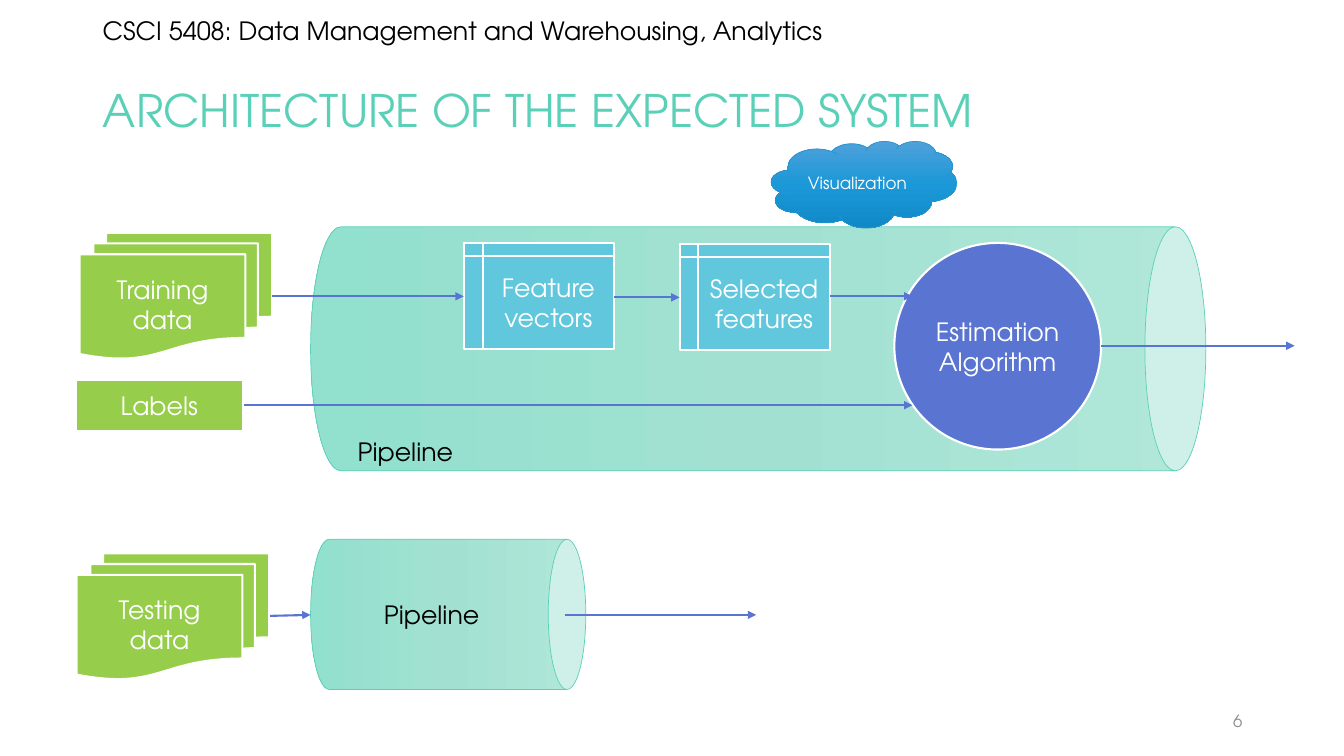
"""Builds the slide on the architecture of the expected system."""
from copy import deepcopy
from dataclasses import dataclass

from lxml import etree
from pptx import Presentation
from pptx.dml.color import RGBColor
from pptx.enum.shapes import MSO_CONNECTOR, MSO_SHAPE
from pptx.enum.text import MSO_ANCHOR, PP_ALIGN
from pptx.oxml.ns import qn
from pptx.util import Inches, Pt

LEFT, CENTER, RIGHT = PP_ALIGN.LEFT, PP_ALIGN.CENTER, PP_ALIGN.RIGHT
MIDDLE, TOP = MSO_ANCHOR.MIDDLE, MSO_ANCHOR.TOP
CAN, CLOUD, CIRCLE, BOX = MSO_SHAPE.CAN, MSO_SHAPE.CLOUD, MSO_SHAPE.OVAL, MSO_SHAPE.RECTANGLE
STORAGE = MSO_SHAPE.FLOWCHART_INTERNAL_STORAGE
DOCUMENTS = MSO_SHAPE.FLOWCHART_MULTIDOCUMENT
STRAIGHT = MSO_CONNECTOR.STRAIGHT


@dataclass(frozen=True)
class Theme:
    font: str = "TeX Gyre Adventor"
    white: str = "FFFFFF"
    black: str = "000000"
    grey: str = "8C8C8C"
    teal: str = "5AD0B8"
    green: str = "96CD4B"
    cyan: str = "61C7DD"
    indigo: str = "5A74D1"
    sky: str = "2495CF"
    pipe_fill: tuple = ("B0E7D9", "A2E1D2", "92E0CE")
    cloud_fill: tuple = ("50A1D9", "1B98D8", "1189C7")
    title: int = 32
    body: int = 18
    small: int = 12
    thin: float = 0.5
    thick: float = 1.5


THEME = Theme()


def rgb(value):
    return RGBColor.from_string(value)


def write(tf, text, size=THEME.body, color=THEME.black, align=LEFT,
          anchor=TOP, wrap=True, spacing=None):
    tf.word_wrap = wrap
    tf.vertical_anchor = anchor
    p = tf.paragraphs[0]
    p.alignment = align
    p.line_spacing = spacing
    r = p.add_run()
    r.text = text
    r.font.name = THEME.font
    r.font.size = Pt(size)
    r.font.color.rgb = rgb(color)


class SlideBuilder:
    def __init__(self, prs, theme):
        self.theme = theme
        self.s = prs.slides.add_slide(prs.slide_layouts[5])

    def title(self, text, x, y, w, h):
        sp = self.s.shapes.title
        sp.left, sp.top, sp.width, sp.height = map(Inches, (x, y, w, h))
        write(sp.text_frame, text, size=self.theme.title, color=self.theme.teal,
              anchor=MIDDLE, spacing=0.9)

    def text(self, text, x, y, w, h, **style):
        sp = self.s.shapes.add_textbox(*map(Inches, (x, y, w, h)))
        write(sp.text_frame, text, **style)

    def shape(self, kind, x, y, w, h, fill, line=None, weight=None, text="",
              size=THEME.body, rotation=0):
        sp = self.s.shapes.add_shape(kind, *map(Inches, (x, y, w, h)))
        sp.shadow.inherit = False
        sp.rotation = rotation
        if isinstance(fill, tuple):
            self.gradient(sp.fill, fill)
        else:
            sp.fill.solid()
            sp.fill.fore_color.rgb = rgb(fill)
        sp.line.color.rgb = rgb(line or self.theme.white)
        sp.line.width = Pt(weight or self.theme.thick)
        if text:
            write(sp.text_frame, text, size=size, color=self.theme.white,
                  align=CENTER, anchor=MIDDLE)

    def gradient(self, fill, colors):
        fill.gradient()
        fill.gradient_angle = 270
        stops = fill._fill._gradFill.gsLst
        stops.append(deepcopy(stops[0]))
        for i, (stop, color) in enumerate(zip(fill.gradient_stops, colors)):
            stop.color.rgb = rgb(color)
            stop.position = i / (len(colors) - 1)

    def pipe(self, x, y, length, bore):
        left = x + (length - bore) / 2
        top = y - (length - bore) / 2
        self.shape(CAN, left, top, bore, length, self.theme.pipe_fill,
                   line=self.theme.teal, weight=self.theme.thin, rotation=90)

    def arrow(self, x1, y1, x2, y2):
        c = self.s.shapes.add_connector(STRAIGHT, *map(Inches, (x1, y1, x2, y2)))
        c.line.color.rgb = rgb(self.theme.indigo)
        c.line.width = Pt(self.theme.thick)
        etree.SubElement(c.line._get_or_add_ln(), qn("a:tailEnd"), type="triangle")
        etree.SubElement(c._element.spPr, qn("a:effectLst"))


def main():
    prs = Presentation()
    prs.slide_width, prs.slide_height = Inches(13.33), Inches(7.5)
    t = THEME
    s = SlideBuilder(prs, t)

    s.text("CSCI 5408: Data Management and Warehousing, Analytics",
           0.92, 0.1, 7.44, 0.4, wrap=False)
    s.title("ARCHITECTURE OF THE EXPECTED SYSTEM", 0.92, 0.4, 11.5, 1.45)
    s.text("6", 9.42, 6.95, 3, 0.4, size=t.small, color=t.grey,
           align=RIGHT, anchor=MIDDLE)

    s.pipe(3.08, 2.25, 8.88, 2.42)
    for x, y, text in ((4.6, 2.41, "Feature vectors"), (6.74, 2.42, "Selected features")):
        s.shape(STORAGE, x, y, 1.49, 1.05, t.cyan, text=text)
    for x, y, text in ((0.79, 2.31, "Training data"), (0.76, 5.49, "Testing data")):
        s.shape(DOCUMENTS, x, y, 1.91, 1.25, t.green, text=text)
    s.shape(CIRCLE, 8.87, 2.41, 2.05, 2.05, t.indigo, text="Estimation Algorithm")
    s.shape(BOX, 0.75, 3.77, 1.66, 0.51, t.green, text="Labels")
    s.shape(CLOUD, 7.65, 1.4, 1.84, 0.86, t.cloud_fill, line=t.sky,
            weight=t.thin, text="Visualization", size=t.small)
    s.pipe(3.08, 5.35, 2.73, 1.49)

    for ends in ((2.7, 2.94, 4.6, 2.94), (2.42, 4.02, 9.05, 4.02),
                 (6.09, 2.95, 6.74, 2.95), (8.23, 2.94, 9.05, 2.94),
                 (10.92, 3.43, 12.84, 3.43), (2.68, 6.11, 3.08, 6.1),
                 (5.6, 6.1, 7.5, 6.1)):
        s.arrow(*ends)
    for x, y in ((3.71, 5.9), (3.45, 4.28)):
        s.text("Pipeline", x, y, 1.16, 0.4, wrap=False)

    prs.save("out.pptx")


if __name__ == "__main__":
    main()
